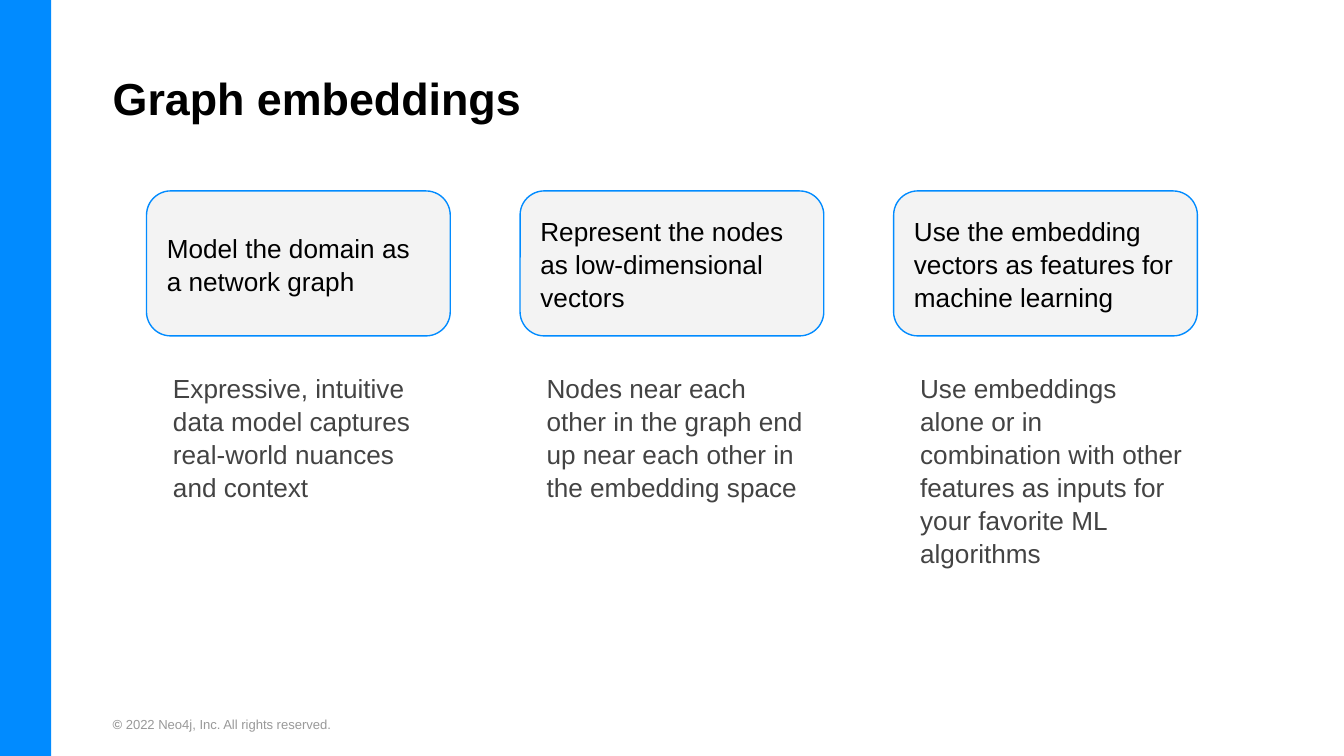
from pptx import Presentation
from pptx.dml.color import RGBColor
from pptx.enum.shapes import MSO_SHAPE
from pptx.enum.text import MSO_ANCHOR, PP_ALIGN
from pptx.util import Cm, Pt

FONT = "Arial"
BLUE, PALE, BLACK, DARK, GRAY = "018BFF", "F3F3F3", "000000", "434343", "999999"
INSET = 0.25
SLIDE_WIDTH, SLIDE_HEIGHT = 25.4, 14.29

CARD_LEFT, CARD_STEP, CARD_WIDTH = 2.77, 7.06, 5.74
CARD_TOP, CARD_HEIGHT = 3.61, 2.74
DETAIL_TOP = 6.76

STEPS = [
    ("Model the domain as a network graph",
     "Expressive, intuitive data model captures real-world nuances and context", 2.9),
    ("Represent the nodes as low-dimensional vectors",
     "Nodes near each other in the graph end up near each other in the embedding space", 2.9),
    ("Use the embedding vectors as features for machine learning",
     "Use embeddings alone or in combination with other features as inputs "
     "for your favorite ML algorithms", 4.11),
]


def color(value):
    return RGBColor.from_string(value)


def lengths(box):
    return [Cm(value) for value in box]


class SlideBuilder:
    def __init__(self, presentation):
        self.slide = presentation.slides.add_slide(presentation.slide_layouts[5])

    def set_text(self, shape, text, size, ink, anchor=MSO_ANCHOR.MIDDLE, left_inset=INSET):
        """Fill the shape with one left-aligned paragraph and return it."""
        frame = shape.text_frame
        frame.word_wrap = True
        frame.vertical_anchor = anchor
        frame.margin_left = Cm(left_inset)
        frame.margin_top = frame.margin_right = frame.margin_bottom = Cm(INSET)
        paragraph = frame.paragraphs[0]
        paragraph.text = text
        paragraph.alignment = PP_ALIGN.LEFT
        paragraph.line_spacing = 1.05
        paragraph.font.name = FONT
        paragraph.font.size = Pt(size)
        paragraph.font.color.rgb = color(ink)
        return paragraph

    def title(self, text, box):
        title = self.slide.shapes.title
        title.left, title.top, title.width, title.height = lengths(box)
        self.set_text(title, text, 24, BLACK).font.bold = True

    def shape(self, shapes, kind, box, fill, line=None):
        shape = shapes.add_shape(kind, *lengths(box))
        shape.shadow.inherit = False
        shape.fill.solid()
        shape.fill.fore_color.rgb = color(fill)
        if line:
            shape.line.color.rgb = color(line)
            shape.line.width = Pt(0.75)
        else:
            shape.line.fill.background()
        return shape

    def side_bar(self, width):
        self.shape(self.slide.shapes, MSO_SHAPE.RECTANGLE, (0, 0, width, SLIDE_HEIGHT), BLUE)

    def step(self, left, heading, detail, detail_height):
        """Group a rounded heading card with the explanation below it."""
        shapes = self.slide.shapes.add_group_shape().shapes
        card = self.shape(shapes, MSO_SHAPE.FLOWCHART_ALTERNATE_PROCESS,
                          (left, CARD_TOP, CARD_WIDTH, CARD_HEIGHT), PALE, BLUE)
        self.set_text(card, heading, 14, BLACK)
        detail_box = shapes.add_textbox(*lengths((left, DETAIL_TOP, CARD_WIDTH, detail_height)))
        self.set_text(detail_box, detail, 14, DARK, MSO_ANCHOR.TOP, 2 * INSET)

    def footer(self, symbol, text, box):
        footer = self.slide.shapes.add_textbox(*lengths(box))
        paragraph = self.set_text(footer, symbol, 7, GRAY)
        paragraph.runs[0].font.bold = True
        paragraph.add_run().text = text


def main():
    presentation = Presentation()
    presentation.slide_width = Cm(SLIDE_WIDTH)
    presentation.slide_height = Cm(SLIDE_HEIGHT)

    builder = SlideBuilder(presentation)
    builder.footer("© ", "2022 Neo4j, Inc. All rights reserved.", (1.88, 13.26, 20.93, 0.86))
    builder.side_bar(0.97)
    builder.title("Graph embeddings", (1.88, 1.02, 22.35, 1.6))
    for index, (heading, detail, detail_height) in enumerate(STEPS):
        builder.step(CARD_LEFT + index * CARD_STEP, heading, detail, detail_height)

    presentation.save("out.pptx")


if __name__ == "__main__":
    main()
